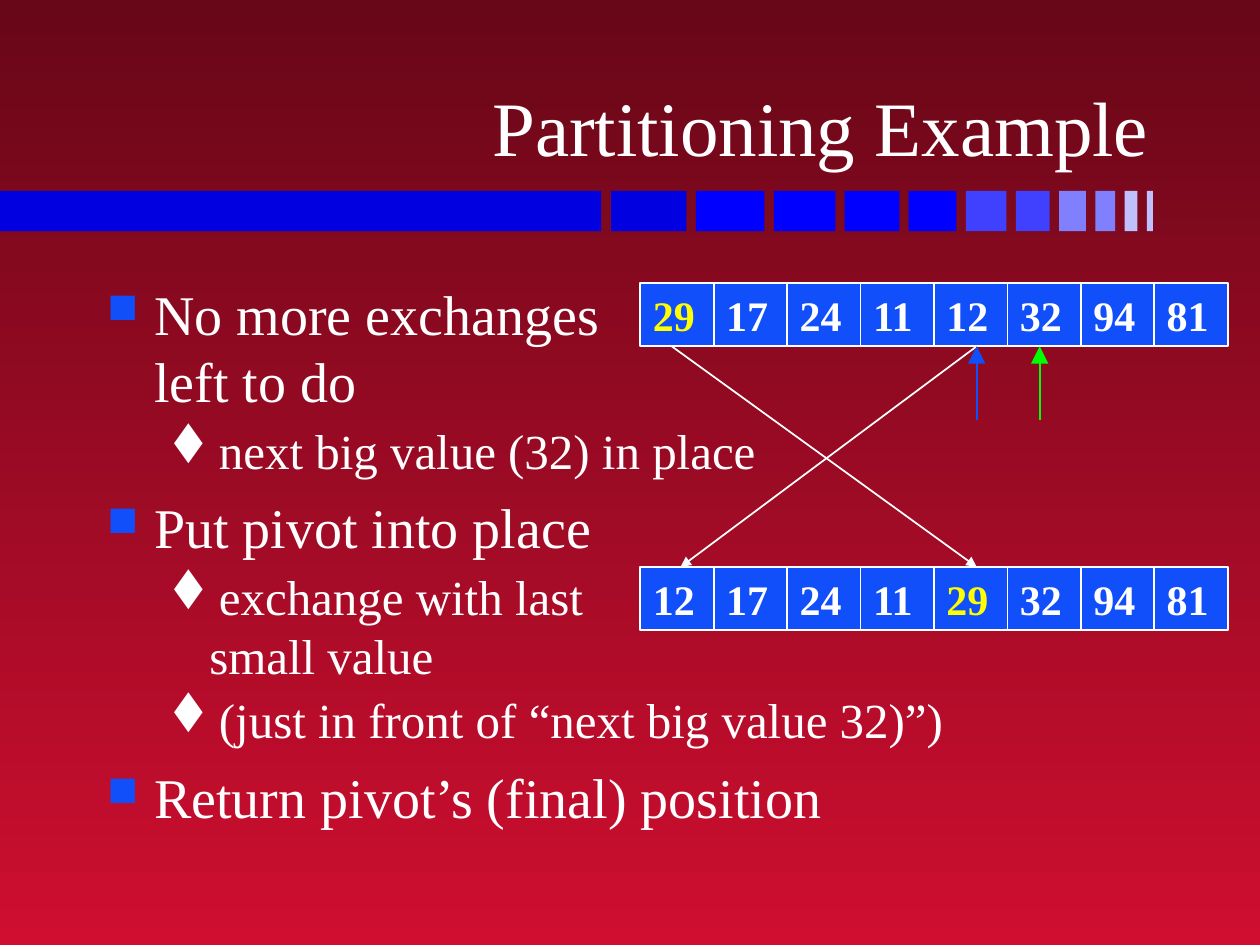
from lxml.etree import SubElement
from pptx import Presentation
from pptx.dml.color import RGBColor
from pptx.enum.shapes import MSO_CONNECTOR, MSO_SHAPE
from pptx.enum.text import MSO_ANCHOR, PP_ALIGN
from pptx.oxml.ns import qn
from pptx.util import Cm, Pt

FONT = "Times New Roman"
BULLET_FONT = "Wingdings"
COLORS = {
    "top": "670718", "bottom": "CF0E30", "white": "FFFFFF", "yellow": "FFFF00",
    "cell": "114FFB", "green": "00FF00", "navy": "0000E0", "blue": "0000FF",
    "mid": "4040FF", "light": "8080FF", "pale": "C0C0FF",
}
BAND = ["navy"] + ["blue"] * 4 + ["mid"] * 2 + ["light"] * 2 + ["pale"] * 2
POINTS = [
    (0, "No more exchanges\vleft to do"),
    (1, "next big value (32) in place"),
    (0, "Put pivot into place"),
    (1, "exchange with last\vsmall value"),
    (1, "(just in front of “next big value 32)”)"),
    (0, "Return pivot’s (final) position"),
]
# Per level: size, space before, left margin, hanging indent, bullet, colour, percent
# In the bullet font, n is a square and t is a diamond
LEVELS = [
    (32, 8, 0.95, 0.95, "n", "cell", 75),
    (28, 3.5, 2.06, 0.79, "t", "white", 100),
]
PIVOT = 29
BEFORE = [29, 17, 24, 11, 12, 32, 94, 81]
AFTER = [12, 17, 24, 11, 29, 32, 94, 81]
ARRAY_LEFT, CELL_WIDTH, CELL_HEIGHT = 12.91, 1.48, 1.27
BEFORE_TOP, AFTER_TOP = 5.71, 11.43


def rgb(name):
    return RGBColor.from_string(COLORS[name])


def style_font(paragraph, size, color="white", bold=False):
    font = paragraph.font
    font.name, font.size, font.bold = FONT, Pt(size), bold
    font.color.rgb = rgb(color)


def add_rect(shapes, left, top, width, height, color):
    rect = shapes.add_shape(MSO_SHAPE.RECTANGLE, Cm(left), Cm(top), Cm(width), Cm(height))
    rect.shadow.inherit = False
    rect.fill.solid()
    rect.fill.fore_color.rgb = rgb(color)
    rect.line.fill.background()
    return rect


def add_text_frame(slide, left, top, width, height, anchor):
    frame = slide.shapes.add_textbox(Cm(left), Cm(top), Cm(width), Cm(height)).text_frame
    frame.word_wrap = True
    frame.vertical_anchor = anchor
    return frame


def add_bullet(paragraph, char, color, percent):
    props = paragraph._p.get_or_add_pPr()
    SubElement(SubElement(props, qn("a:buClr")), qn("a:srgbClr"), val=COLORS[color])
    SubElement(props, qn("a:buSzPct"), val=str(percent * 1000))
    SubElement(props, qn("a:buFont"), typeface=BULLET_FONT, pitchFamily="2", charset="2")
    SubElement(props, qn("a:buChar"), char=char)


def add_band(slide):
    """Bars that shrink by a fixed step towards the right."""
    bars = slide.shapes.add_group_shape().shapes
    top, height, gap = 3.85, 0.81, 0.19
    add_rect(bars, 0, top, 12.12, height, "navy")
    left, width = 12.32, 1.52
    for color in BAND:
        add_rect(bars, left, top, width, height, color)
        left += width + gap
        width -= 0.14


def add_points(slide):
    frame = add_text_frame(slide, 1.91, 5.51, 21.59, 11.43, MSO_ANCHOR.TOP)
    for index, (level, text) in enumerate(POINTS):
        size, before, margin, hang, char, color, percent = LEVELS[level]
        point = frame.paragraphs[0] if index == 0 else frame.add_paragraph()
        point.text = text
        point.level = level
        if index:
            point.space_before = Pt(before)
        props = point._p.get_or_add_pPr()
        props.set("marL", str(Cm(margin)))
        props.set("indent", str(-Cm(hang)))
        add_bullet(point, char, color, percent)
        style_font(point, size)


def add_array(slide, top, values):
    cells = slide.shapes.add_group_shape().shapes
    for index, value in enumerate(values):
        cell = add_rect(cells, ARRAY_LEFT + index * CELL_WIDTH, top,
                        CELL_WIDTH, CELL_HEIGHT, "cell")
        cell.line.color.rgb = rgb("white")
        cell.line.width = Pt(1)
        frame = cell.text_frame
        frame.word_wrap = False
        frame.vertical_anchor = MSO_ANCHOR.MIDDLE
        number = frame.paragraphs[0]
        number.text = str(value)
        number.alignment = PP_ALIGN.LEFT
        style_font(number, 24, "yellow" if value == PIVOT else "white", bold=True)


def add_arrow(slide, start, end, color, head="med"):
    arrow = slide.shapes.add_connector(MSO_CONNECTOR.STRAIGHT, *map(Cm, start + end))
    arrow.line.color.rgb = rgb(color)
    arrow.line.width = Pt(1)
    SubElement(arrow.line._get_or_add_ln(), qn("a:tailEnd"),
               type="triangle", w=head, len=head)
    SubElement(arrow._element.spPr, qn("a:effectLst"))


def main():
    prs = Presentation()
    prs.slide_width, prs.slide_height = Cm(25.4), Cm(19.05)
    slide = prs.slides.add_slide(prs.slide_layouts[6])

    # Background
    backdrop = slide.background.fill
    backdrop.gradient()
    backdrop.gradient_angle = 270
    for stop, color in zip(backdrop.gradient_stops, ("top", "bottom")):
        stop.color.rgb = rgb(color)

    # Heading
    add_band(slide)
    title = add_text_frame(slide, 1.88, 0.48, 21.54, 3.12, MSO_ANCHOR.BOTTOM).paragraphs[0]
    title.text = "Partitioning Example"
    title.alignment = PP_ALIGN.RIGHT
    style_font(title, 44)

    # Explanation
    add_points(slide)

    # Array before and after the pivot swap
    add_array(slide, BEFORE_TOP, BEFORE)
    add_array(slide, AFTER_TOP, AFTER)
    before_bottom = BEFORE_TOP + CELL_HEIGHT
    add_arrow(slide, (13.54, before_bottom), (19.69, AFTER_TOP), "white")
    add_arrow(slide, (19.69, before_bottom), (13.72, AFTER_TOP), "white")

    # Scan positions
    for x, color in ((19.69, "cell"), (20.96, "green")):
        add_arrow(slide, (x, 8.46), (x, before_bottom), color, head="lg")

    prs.save("out.pptx")


if __name__ == "__main__":
    main()
